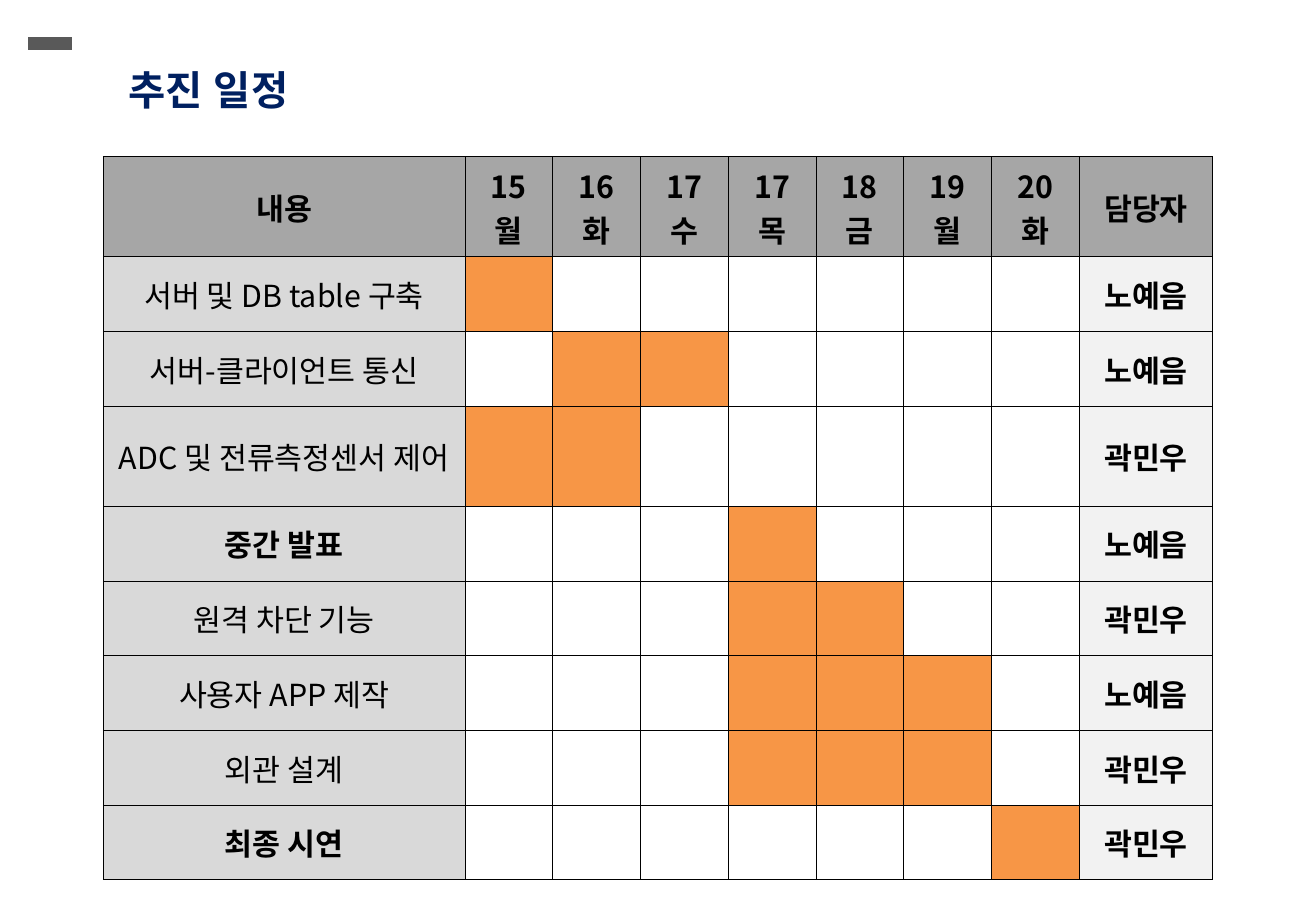
from lxml import etree
from pptx import Presentation
from pptx.dml.color import RGBColor
from pptx.enum.shapes import MSO_SHAPE
from pptx.enum.text import MSO_ANCHOR, PP_ALIGN
from pptx.oxml.ns import qn
from pptx.util import Inches, Pt

CENTER = PP_ALIGN.CENTER
MIDDLE = MSO_ANCHOR.MIDDLE
RECTANGLE = MSO_SHAPE.RECTANGLE
BLANK_LAYOUT = 6

SLIDE_WIDTH, SLIDE_HEIGHT = 10.84, 7.5
COLORS = {
    "title": "002060", "accent": "595959", "white": "FFFFFF", "black": "000000",
    "header": "A6A6A6", "task": "D9D9D9", "owner": "F2F2F2", "active": "F79646",
}
TITLE_FORMAT = {"size": Pt(24), "bold": True, "name": "Montserrat"}
STRONG_FORMAT = {"size": Pt(18), "bold": True, "name": "Noto Sans CJK KR"}
PLAIN_FORMAT = {**STRONG_FORMAT, "bold": False}

DAYS = ["15\n월", "16\n화", "17\n수", "17\n목", "18\n금", "19\n월", "20\n화"]
HEADERS = ["내용", *DAYS, "담당자"]
TASKS = [
    ("서버 및 DB table 구축", 1, 1, "노예음", PLAIN_FORMAT),
    ("서버-클라이언트 통신", 2, 3, "노예음", PLAIN_FORMAT),
    ("ADC 및 전류측정센서 제어", 1, 2, "곽민우", PLAIN_FORMAT),
    ("중간 발표", 4, 4, "노예음", STRONG_FORMAT),
    ("원격 차단 기능", 4, 5, "곽민우", PLAIN_FORMAT),
    ("사용자 APP 제작", 4, 6, "노예음", PLAIN_FORMAT),
    ("외관 설계", 4, 6, "곽민우", PLAIN_FORMAT),
    ("최종 시연", 7, 7, "곽민우", STRONG_FORMAT),
]
TASK_WIDTH, OWNER_WIDTH = 2.98, 1.1
TALL_ROW, ROW = 0.7, 0.615
TALL_ROWS = (0, 3)


def color(key):
    """Return the named colour."""
    return RGBColor.from_string(COLORS[key])


def write(text_frame, text, font_format, color_key):
    """Fill a text frame with centred, formatted text."""
    text_frame.text = text
    for paragraph in text_frame.paragraphs:
        paragraph.alignment = CENTER
        for run in paragraph.runs:
            for attribute, value in font_format.items():
                setattr(run.font, attribute, value)
            run.font.color.rgb = color(color_key)
            properties = run.font._element
            etree.SubElement(properties, qn("a:ea"), typeface=font_format["name"])


def add_borders(cell):
    """Draw a thin black line on each side of a cell."""
    properties = cell._tc.get_or_add_tcPr()
    for side in ("lnL", "lnR", "lnT", "lnB"):
        line = etree.SubElement(properties, qn(f"a:{side}"), w=str(Pt(0.45)))
        fill = etree.SubElement(line, qn("a:solidFill"))
        etree.SubElement(fill, qn("a:srgbClr"), val=COLORS["black"])


def style_cell(cell, fill_key=None, text="", font_format=STRONG_FORMAT):
    """Set the borders, fill and text of a cell."""
    add_borders(cell)
    cell.vertical_anchor = MIDDLE
    if fill_key:
        cell.fill.solid()
        cell.fill.fore_color.rgb = color(fill_key)
    else:
        cell.fill.background()
    if text:
        write(cell.text_frame, text, font_format, "black")


def add_accent(slide, left, top, width, height):
    """Add the small corner bar."""
    bar = slide.shapes.add_shape(
        RECTANGLE, Inches(left), Inches(top), Inches(width), Inches(height))
    bar.shadow.inherit = False
    bar.fill.solid()
    bar.fill.fore_color.rgb = color("accent")
    bar.line.color.rgb = color("white")
    bar.line.width = Pt(2)


def add_title(slide, left, top, width, height):
    """Add the slide title."""
    title = slide.shapes.add_textbox(
        Inches(left), Inches(top), Inches(width), Inches(height))
    title.text_frame.word_wrap = True
    title.text_frame.vertical_anchor = MIDDLE
    write(title.text_frame, "추진 일정", TITLE_FORMAT, "title")


def add_schedule(slide, left, top, width, height):
    """Add the schedule table with its active days filled."""
    table = slide.shapes.add_table(
        len(TASKS) + 1, len(HEADERS),
        Inches(left), Inches(top), Inches(width), Inches(height)).table
    table.first_row = table.horz_banding = False

    day_width = (width - TASK_WIDTH - OWNER_WIDTH) / len(DAYS)
    widths = [TASK_WIDTH, *[day_width] * len(DAYS), OWNER_WIDTH]
    for column, column_width in zip(table.columns, widths):
        column.width = Inches(column_width)
    for index, row in enumerate(table.rows):
        row.height = Inches(TALL_ROW if index in TALL_ROWS else ROW)

    for column, header in enumerate(HEADERS):
        style_cell(table.cell(0, column), "header", header)
    for row, (task, first, last, owner, task_format) in enumerate(TASKS, 1):
        style_cell(table.cell(row, 0), "task", task, task_format)
        for day in range(1, len(DAYS) + 1):
            style_cell(table.cell(row, day), "active" if first <= day <= last else None)
        style_cell(table.cell(row, len(DAYS) + 1), "owner", owner)


def main():
    """Build and save the schedule slide."""
    presentation = Presentation()
    presentation.slide_width = Inches(SLIDE_WIDTH)
    presentation.slide_height = Inches(SLIDE_HEIGHT)
    slide = presentation.slides.add_slide(presentation.slide_layouts[BLANK_LAYOUT])
    add_schedule(slide, 0.85, 1.29, 9.14, 5.7)
    add_title(slide, 0.77, 0.52, 1.89, 0.43)
    add_accent(slide, 0.22, 0.29, 0.39, 0.14)
    presentation.save("out.pptx")


if __name__ == "__main__":
    main()
